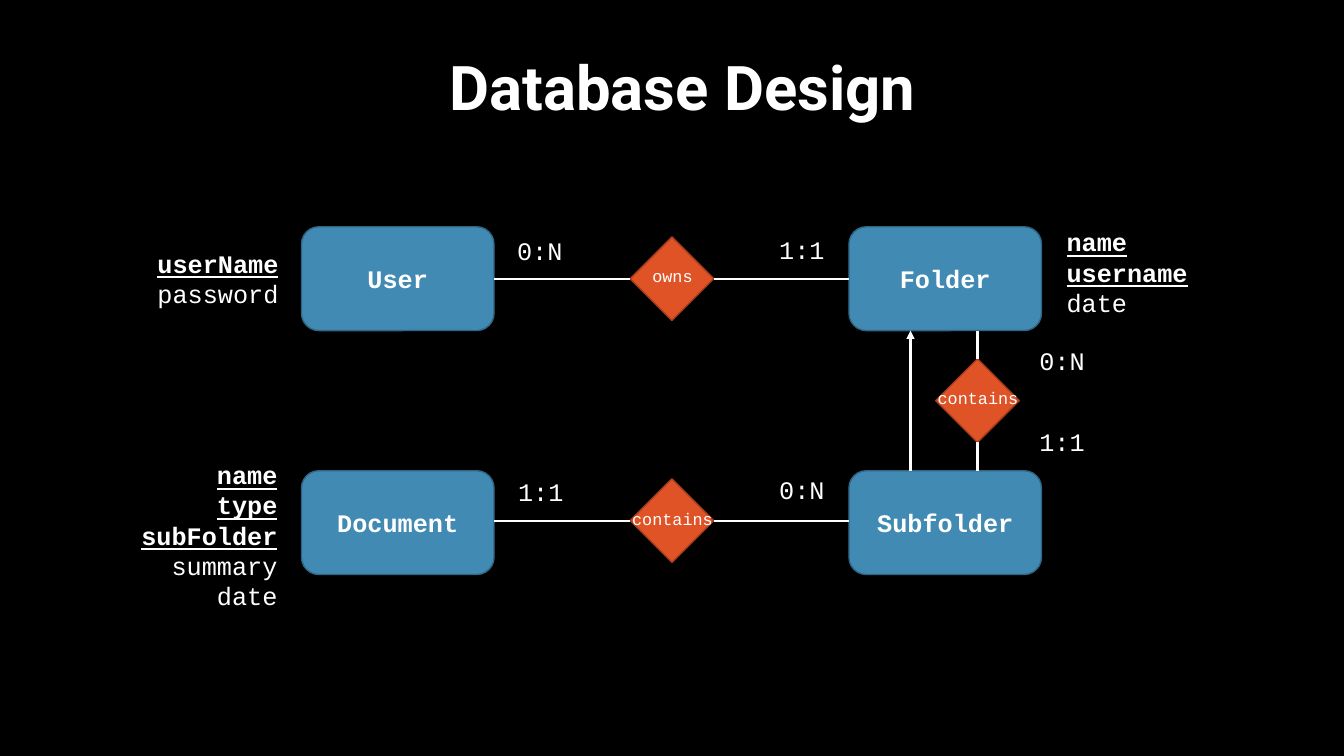
"""Build a slide with an entity-relationship diagram of a document database."""
from dataclasses import dataclass

from lxml import etree
from pptx import Presentation
from pptx import util as u
from pptx.dml.color import RGBColor
from pptx.enum import shapes, text
from pptx.oxml.ns import qn


@dataclass(frozen=True)
class Theme:
    background: RGBColor = RGBColor.from_string("000000")
    ink: RGBColor = RGBColor.from_string("FFFFFF")
    entity_fill: RGBColor = RGBColor.from_string("418AB3")
    entity_line: RGBColor = RGBColor.from_string("306684")
    relation_fill: RGBColor = RGBColor.from_string("DF5327")
    relation_line: RGBColor = RGBColor.from_string("A53D1D")
    title_font: str = "Roboto"
    body_font: str = "Courier New"
    title_size: int = 44
    body_size: int = 18
    relation_size: int = 12
    outline: float = 1
    link: float = 1.5


@dataclass(frozen=True)
class Node:
    key: str
    left: float
    top: float


@dataclass(frozen=True)
class Label:
    words: str
    left: float
    top: float
    width: float = 0.83
    height: float = 0.4
    size: int = Theme.body_size
    align: text.PP_ALIGN = text.PP_ALIGN.LEFT


@dataclass(frozen=True)
class Attributes:
    keys: tuple[str, ...]
    others: tuple[str, ...]
    left: float
    top: float
    width: float
    height: float
    align: text.PP_ALIGN


@dataclass(frozen=True)
class Link:
    start: tuple[float, float]
    end: tuple[float, float]
    start_join: tuple[str, int] | None = None
    end_join: tuple[str, int] | None = None
    arrow: bool = False


THEME = Theme()
LEFT_X, RIGHT_X, UPPER_Y, LOWER_Y = 2.99, 8.42, 2.25, 4.67
ENTITY_W, ENTITY_H, DIAMOND = 1.91, 1.03, 0.83
TOP, LEFT, BOTTOM, RIGHT = range(4)
CENTER, FLUSH_LEFT, FLUSH_RIGHT = text.PP_ALIGN.CENTER, text.PP_ALIGN.LEFT, text.PP_ALIGN.RIGHT

ENTITIES = [
    Node("User", LEFT_X, UPPER_Y),
    Node("Folder", RIGHT_X, UPPER_Y),
    Node("Document", LEFT_X, LOWER_Y),
    Node("Subfolder", RIGHT_X, LOWER_Y),
]
OWNS = Node("user owns folder", 6.25, 2.35)
HOLDS = Node("subfolder contains document", 6.25, 4.75)
NESTS = Node("folder contains subfolder", 9.28, 3.56)
RELATIONS = [OWNS, HOLDS, NESTS]
OWNS_Y, HOLDS_Y = OWNS.top + DIAMOND / 2, HOLDS.top + DIAMOND / 2
NESTS_X = NESTS.left + DIAMOND / 2
LINKS = [
    Link((6.25, OWNS_Y), (4.9, OWNS_Y), (OWNS.key, LEFT), ("User", RIGHT)),
    Link((8.42, OWNS_Y), (7.08, OWNS_Y), ("Folder", LEFT), (OWNS.key, RIGHT)),
    Link((6.25, HOLDS_Y), (4.9, HOLDS_Y), (HOLDS.key, LEFT)),
    Link((8.42, HOLDS_Y), (7.08, HOLDS_Y), end_join=(HOLDS.key, RIGHT)),
    Link((NESTS_X, 3.56), (NESTS_X, 3.28), (NESTS.key, TOP)),
    Link((NESTS_X, 4.67), (NESTS_X, 4.39), end_join=(NESTS.key, BOTTOM)),
    Link((9.03, 4.67), (9.03, 3.28), arrow=True),
]
LABELS = [
    Label("owns", 6.09, 2.59, 1.16, 0.3, THEME.relation_size, CENTER),
    Label("contains", 6, 5, 1.34, 0.3, THEME.relation_size, CENTER),
    Label("contains", 9.03, 3.8, 1.34, 0.3, THEME.relation_size, CENTER),
    Label("0:N", 5.03, 2.29),
    Label("1:1", 7.63, 2.28),
    Label("0:N", 10.21, 3.38),
    Label("1:1", 10.21, 4.18),
    Label("0:N", 7.63, 4.66),
    Label("1:1", 5.04, 4.68),
]
ATTRIBUTES = [
    Attributes(("userName",), ("password",), 0.68, 2.41, 2.18, 0.71, FLUSH_RIGHT),
    Attributes(("name", "username"), ("date",), 10.48, 2.2, 2.4, 1.22, FLUSH_LEFT),
    Attributes(("name", "type", "subFolder"), ("summary", "date"),
               0.45, 4.51, 2.4, 1.62, FLUSH_RIGHT),
]


def write(para, words: str, size: int, align: text.PP_ALIGN, bold: bool = False,
          underline: bool = False, font: str = THEME.body_font) -> None:
    """Fill a paragraph with formatted words."""
    para.alignment = align
    para.font.name = font
    para.font.size = u.Pt(size)
    para.font.bold = bold
    para.font.underline = underline
    span = para.add_run()
    span.text = words
    span.font.color.rgb = THEME.ink


def add_title(page, words: str) -> None:
    """Place the slide title."""
    title = page.shapes.title
    title.left, title.top = u.Inches(2.27), u.Inches(0.27)
    title.width, title.height = u.Inches(9), u.Inches(1.25)
    frame = title.text_frame
    frame.auto_size = text.MSO_AUTO_SIZE.NONE
    frame.vertical_anchor = text.MSO_ANCHOR.MIDDLE
    para = frame.paragraphs[0]
    write(para, words, THEME.title_size, CENTER, bold=True, font=THEME.title_font)
    para.line_spacing = 0.9


def add_node(page, node: Node, kind: shapes.MSO_SHAPE, width: float, height: float,
             fill: RGBColor, line: RGBColor):
    """Draw one entity or relation outline."""
    shape = page.shapes.add_shape(kind, u.Inches(node.left), u.Inches(node.top),
                                  u.Inches(width), u.Inches(height))
    shape.shadow.inherit = False
    shape.fill.solid()
    shape.fill.fore_color.rgb = fill
    shape.line.color.rgb = line
    shape.line.width = u.Pt(THEME.outline)
    return shape


def add_link(page, link: Link, nodes: dict) -> None:
    """Draw one connector and join its ends to their nodes."""
    line = page.shapes.add_connector(shapes.MSO_CONNECTOR.STRAIGHT,
                                     *map(u.Inches, link.start + link.end))
    if link.start_join:
        key, site = link.start_join
        line.begin_connect(nodes[key], site)
    if link.end_join:
        key, site = link.end_join
        line.end_connect(nodes[key], site)
    line.line.color.rgb = THEME.ink
    line.line.width = u.Pt(THEME.link)
    if link.arrow:
        etree.SubElement(line.line._get_or_add_ln(), qn("a:tailEnd"), type="triangle")
    etree.SubElement(line._element.spPr, qn("a:effectLst"))


def add_frame(page, item: Label | Attributes):
    """Add a wrapping text box and return its frame."""
    box = page.shapes.add_textbox(u.Inches(item.left), u.Inches(item.top),
                                  u.Inches(item.width), u.Inches(item.height))
    box.text_frame.word_wrap = True
    return box.text_frame


def add_attributes(page, item: Attributes) -> None:
    """List an entity's attributes with its keys emphasised."""
    frame = add_frame(page, item)
    for index, name in enumerate(item.keys + item.others):
        para = frame.add_paragraph() if index else frame.paragraphs[0]
        is_key = index < len(item.keys)
        write(para, name, THEME.body_size, item.align, is_key, is_key)


def main() -> None:
    """Build and save the deck."""
    deck = Presentation()
    deck.slide_width, deck.slide_height = u.Inches(13.33), u.Inches(7.5)
    page = deck.slides.add_slide(deck.slide_layouts.get_by_name("Title Only"))
    page.background.fill.solid()
    page.background.fill.fore_color.rgb = THEME.background
    add_title(page, "Database Design")
    nodes = {}
    for entity in ENTITIES:
        shape = add_node(page, entity, shapes.MSO_SHAPE.ROUNDED_RECTANGLE, ENTITY_W, ENTITY_H,
                         THEME.entity_fill, THEME.entity_line)
        shape.text_frame.vertical_anchor = text.MSO_ANCHOR.MIDDLE
        write(shape.text_frame.paragraphs[0], entity.key, THEME.body_size, CENTER, bold=True)
        nodes[entity.key] = shape
    for relation in RELATIONS:
        nodes[relation.key] = add_node(page, relation, shapes.MSO_SHAPE.DIAMOND, DIAMOND, DIAMOND,
                                       THEME.relation_fill, THEME.relation_line)
    for link in LINKS:
        add_link(page, link, nodes)
    for label in LABELS:
        write(add_frame(page, label).paragraphs[0], label.words, label.size, label.align)
    for item in ATTRIBUTES:
        add_attributes(page, item)
    deck.save("out.pptx")


if __name__ == "__main__":
    main()
